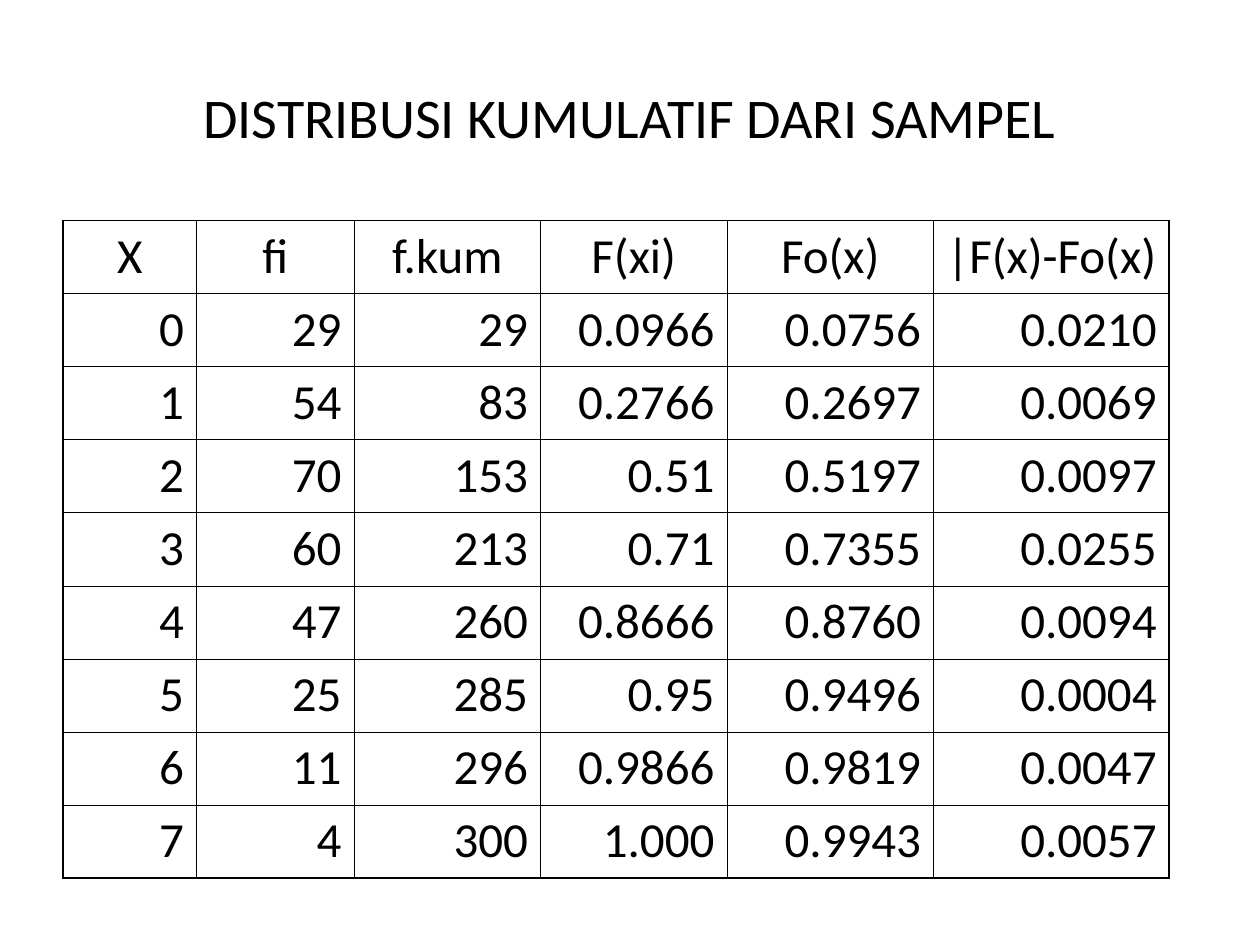
from lxml import etree
from pptx import Presentation, util as u
from pptx.dml.color import RGBColor
from pptx.enum import text
from pptx.oxml import ns

COLOURS = {"ink": "000000", "paper": "FFFFFF"}
HEADINGS = ["X", "fi", "f.kum", "F(xi)", "Fo(x)", "|F(x)-Fo(x)"]
SAMPLES = [
    ["0", "29", "29", "0.0966", "0.0756", "0.0210"],
    ["1", "54", "83", "0.2766", "0.2697", "0.0069"],
    ["2", "70", "153", "0.51", "0.5197", "0.0097"],
    ["3", "60", "213", "0.71", "0.7355", "0.0255"],
    ["4", "47", "260", "0.8666", "0.8760", "0.0094"],
    ["5", "25", "285", "0.95", "0.9496", "0.0004"],
    ["6", "11", "296", "0.9866", "0.9819", "0.0047"],
    ["7", "4", "300", "1.000", "0.9943", "0.0057"],
]


def write(frame, words, *, size, font="Calibri", colour="ink", align="CENTER"):
    paragraph = frame.paragraphs[0]
    paragraph.alignment = getattr(text.PP_ALIGN, align)
    run = paragraph.add_run()
    run.text = words
    run.font.name = font
    run.font.size = u.Pt(size)
    run.font.color.rgb = RGBColor.from_string(COLOURS[colour])


class SlideBuilder:
    """Draws styled elements on a slide grid of 100 columns by 75 rows."""

    title_size, table_size = 32, 28
    inner_line, outer_line = 0.45, 1.08

    def __init__(self, deck):
        self.column = deck.slide_width / 100
        self.row = deck.slide_height / 75
        self.slide = deck.slides.add_slide(deck.slide_layouts[6])

    def across(self, columns):
        return u.Emu(round(columns * self.column))

    def down(self, rows):
        return u.Emu(round(rows * self.row))

    def title(self, words, left, top, width, height):
        heading = self.slide.shapes.add_textbox(
            self.across(left), self.down(top), self.across(width), self.down(height))
        frame = heading.text_frame
        frame.word_wrap = True
        frame.vertical_anchor = text.MSO_ANCHOR.MIDDLE
        write(frame, words, size=self.title_size)

    def borders(self, cell, outer_sides):
        properties = cell._tc.get_or_add_tcPr()
        for index, side in enumerate("LRTB"):
            weight = self.outer_line if side in outer_sides else self.inner_line
            line = etree.Element(ns.qn(f"a:ln{side}"), w=str(u.Pt(weight)))
            fill = etree.SubElement(line, ns.qn("a:solidFill"))
            etree.SubElement(fill, ns.qn("a:srgbClr"), val=COLOURS["ink"])
            properties.insert(index, line)

    def table(self, rows, left, top, widths, height):
        last_row, last_column = len(rows) - 1, len(widths) - 1
        grid = self.slide.shapes.add_table(
            len(rows), len(widths), self.across(left), self.down(top),
            self.across(sum(widths)), self.down(height * len(rows))).table
        grid.first_row = grid.horz_banding = False
        for column, width in zip(grid.columns, widths):
            column.width = self.across(width)
        for r, values in enumerate(rows):
            grid.rows[r].height = self.down(height)
            for c, value in enumerate(values):
                cell = grid.cell(r, c)
                cell.fill.background()
                write(cell.text_frame, value, size=self.table_size,
                      align="RIGHT" if r else "CENTER")
                edges = {"L": c == 0, "R": c == last_column,
                         "T": r == 0, "B": r == last_row}
                self.borders(cell, [side for side, outer in edges.items() if outer])


def main():
    deck = Presentation()
    deck.slide_width, deck.slide_height = u.Inches(10), u.Inches(7.5)
    builder = SlideBuilder(deck)
    background = builder.slide.background.fill
    background.solid()
    background.fore_color.rgb = RGBColor.from_string(COLOURS["paper"])
    builder.title("DISTRIBUSI KUMULATIF DARI SAMPEL", 5, 3, 90, 12.5)
    builder.table([HEADINGS, *SAMPLES], left=5, top=17.5,
                  widths=[10.6, 12.5, 14.8, 14.8, 16.4, 18.7], height=5.8)
    deck.save("out.pptx")


if __name__ == "__main__":
    main()
